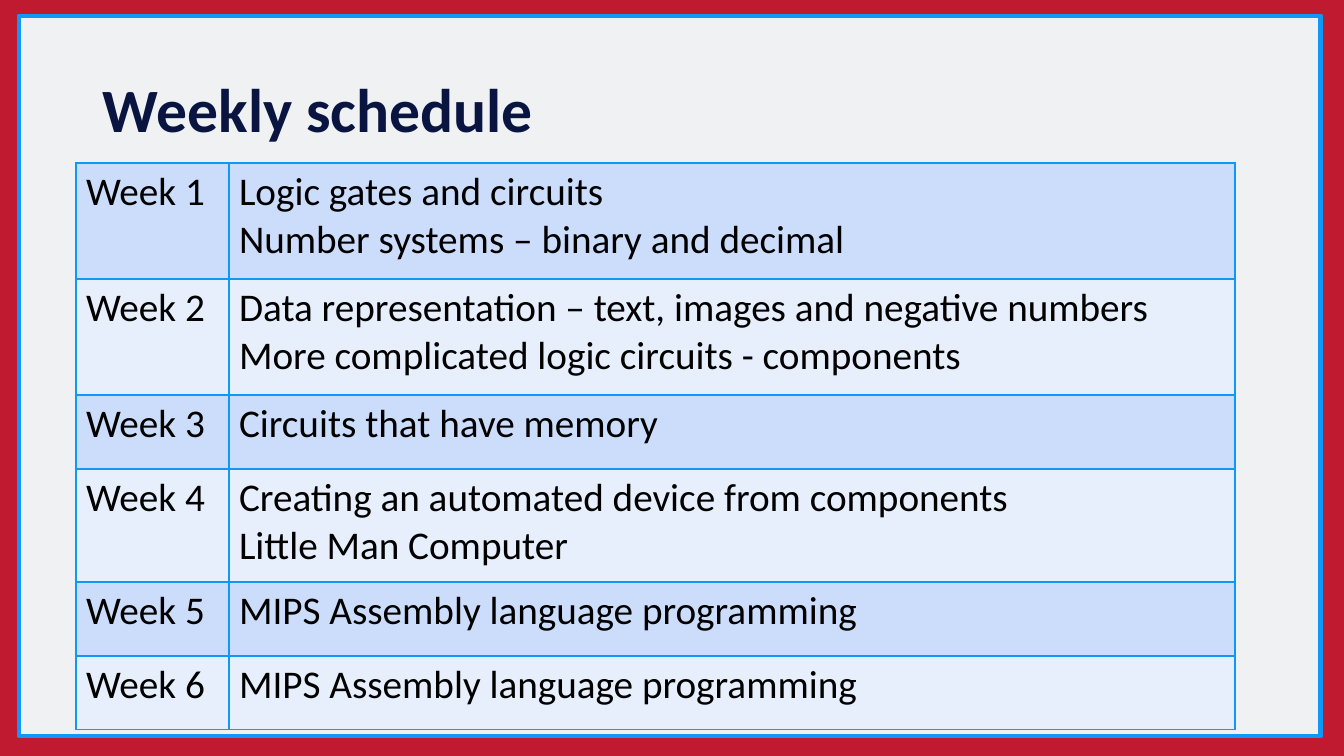
import lxml.etree
import pptx
import pptx.dml.color
import pptx.enum.shapes
import pptx.enum.text
import pptx.oxml.ns
import pptx.util

EMU_PER_PX = 914400 / 100.8
FONT = "Calibri"
COLORS = {
    "backdrop": "BF1A2F",
    "panel": "EFF1F3",
    "accent": "1098F7",
    "title": "091540",
    "text": "000000",
    "odd_week": "CCDDFC",
    "even_week": "E7EFFD",
}
# Height in px and topics of each week
WEEKS = [
    (116, ["Logic gates and circuits",
           "Number systems – binary and decimal"]),
    (116, ["Data representation – text, images and negative numbers",
           "More complicated logic circuits - components"]),
    (74, ["Circuits that have memory"]),
    (113, ["Creating an automated device from components",
           "Little Man Computer"]),
    (74, ["MIPS Assembly language programming"]),
    (74, ["MIPS Assembly language programming"]),
]
COLUMN_WIDTHS = [153, 1006]


def px(length):
    return pptx.util.Emu(round(length * EMU_PER_PX))


def box(*lengths):
    return [px(length) for length in lengths]


def rgb(name):
    return pptx.dml.color.RGBColor.from_string(COLORS[name])


def paint(fill, color):
    fill.solid()
    fill.fore_color.rgb = rgb(color)


def write(frame, lines, size, color, bold=False):
    frame.text = "\n".join(lines)
    for paragraph in frame.paragraphs:
        paragraph.font.name = FONT
        paragraph.font.size = pptx.util.Pt(size)
        paragraph.font.bold = bold
        paragraph.font.color.rgb = rgb(color)


def add_panel(slide):
    panel = slide.shapes.add_shape(
        pptx.enum.shapes.MSO_SHAPE.RECTANGLE, *box(19, 16, 1302, 720))
    panel.shadow.inherit = False
    paint(panel.fill, "panel")
    panel.line.color.rgb = rgb("accent")
    panel.line.width = pptx.util.Pt(3.5)


def add_title(slide, text):
    title = slide.shapes.add_textbox(*box(93, 40, 1159, 146)).text_frame
    title.word_wrap = True
    title.vertical_anchor = pptx.enum.text.MSO_ANCHOR.MIDDLE
    write(title, [text], 44, "title", bold=True)
    title.paragraphs[0].line_spacing = 0.9


def add_borders(cell, color):
    properties = cell._tc.get_or_add_tcPr()
    qn = pptx.oxml.ns.qn
    for side in ("lnL", "lnR", "lnT", "lnB"):
        border = lxml.etree.SubElement(
            properties, qn(f"a:{side}"), w=str(pptx.util.Pt(1)))
        fill = lxml.etree.SubElement(border, qn("a:solidFill"))
        lxml.etree.SubElement(fill, qn("a:srgbClr"), val=COLORS[color])


def fill_cell(cell, lines, color):
    write(cell.text_frame, lines, 28, "text")
    add_borders(cell, "accent")
    paint(cell.fill, color)


def add_schedule(slide):
    total_height = sum(height for height, _ in WEEKS)
    schedule = slide.shapes.add_table(
        len(WEEKS), len(COLUMN_WIDTHS),
        *box(76, 163, sum(COLUMN_WIDTHS), total_height)).table
    schedule.first_row = False
    for column, width in zip(schedule.columns, COLUMN_WIDTHS):
        column.width = px(width)
    for index, (height, topics) in enumerate(WEEKS):
        schedule.rows[index].height = px(height)
        color = "even_week" if index % 2 else "odd_week"
        fill_cell(schedule.cell(index, 0), [f"Week {index + 1}"], color)
        fill_cell(schedule.cell(index, 1), topics, color)


def main():
    deck = pptx.Presentation()
    deck.slide_width, deck.slide_height = box(1344, 756)
    slide = deck.slides.add_slide(deck.slide_layouts[6])

    # Backdrop and framed panel
    paint(slide.background.fill, "backdrop")
    add_panel(slide)

    # Heading and timetable
    add_title(slide, "Weekly schedule")
    add_schedule(slide)

    deck.save("out.pptx")


if __name__ == "__main__":
    main()
